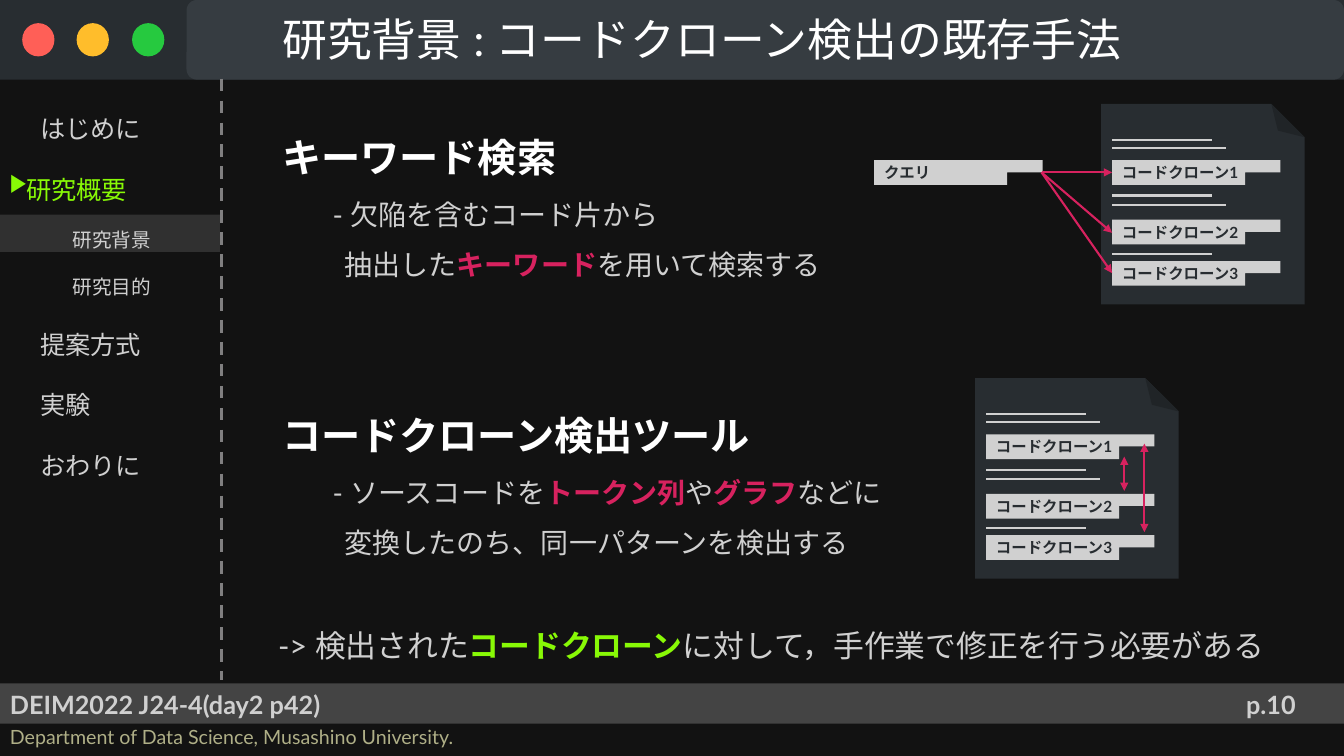
from lxml.etree import SubElement
from pptx import Presentation
from pptx.dml.color import RGBColor
from pptx.enum.dml import MSO_LINE
from pptx.enum.lang import MSO_LANGUAGE_ID
from pptx.enum.shapes import MSO_CONNECTOR, MSO_SHAPE
from pptx.enum.text import MSO_ANCHOR, MSO_AUTO_SIZE, PP_ALIGN
from pptx.oxml.ns import qn
from pptx.util import Inches, Pt

GREY, DARK, WHITE = "D0D0D0", "282D31", "FFFFFF"
PINK, GREEN = "D7225F", "88F906"
color = RGBColor.from_string


def paint(shape, fill):
    shape.shadow.inherit = False
    shape.fill.solid()
    shape.fill.fore_color.rgb = color(fill)
    shape.line.fill.background()


def write(para, text, size, tone=GREY, bold=False, indent=0, space=None, accent=PINK):
    """Fill a paragraph; parts between bars are bold and in the accent colour."""
    para.alignment = PP_ALIGN.LEFT
    para.line_spacing = space
    props = para._p.get_or_add_pPr()
    props.set("marL", str(Inches(indent)))
    props.set("indent", "0")
    for i, part in enumerate(text.split("|")):
        run = para.add_run()
        run.text = part
        font = run.font
        font.name, font.size = "Lato", Pt(size)
        font.bold = bold or i % 2 == 1
        font.color.rgb = color(accent if i % 2 else tone)
        font.language_id = MSO_LANGUAGE_ID.JAPANESE
        SubElement(run._r.get_or_add_rPr(), qn("a:ea"), typeface="Lato")


deck = Presentation()
deck.slide_width, deck.slide_height = Inches(13.33), Inches(7.5)
slide = deck.slides.add_slide(deck.slide_layouts[5])
slide.background.fill.solid()
slide.background.fill.fore_color.rgb = color("121212")
shapes = slide.shapes

# Window frame, footer bar and sidebar highlight
for kind, left, top, width, height, fill in [
    (MSO_SHAPE.RECTANGLE, 0, 6.78, 13.33, 0.4, "444444"),
    (MSO_SHAPE.RECTANGLE, 0, 0, 13.33, 0.79, DARK),
    (MSO_SHAPE.OVAL, 0.22, 0.23, 0.32, 0.33, "FF5F57"),
    (MSO_SHAPE.OVAL, 0.76, 0.23, 0.32, 0.33, "FFBD2B"),
    (MSO_SHAPE.OVAL, 1.31, 0.23, 0.32, 0.33, "26C93F"),
    (MSO_SHAPE.ROUNDED_RECTANGLE, 1.85, 0, 11.48, 0.79, "363C41"),
    (MSO_SHAPE.RECTANGLE, 0, 2.13, 2.18, 0.37, "303030"),
]:
    part = shapes.add_shape(kind, Inches(left), Inches(top), Inches(width), Inches(height))
    paint(part, fill)
    if kind == MSO_SHAPE.ROUNDED_RECTANGLE:
        part.adjustments[0] = 0.13

# Title, brought in front of the window frame
title = shapes.title
title.left, title.top = Inches(2.2), Inches(0.06)
title.width, title.height = Inches(11.13), Inches(0.64)
title.text_frame.auto_size = MSO_AUTO_SIZE.NONE
title.text_frame.vertical_anchor = MSO_ANCHOR.MIDDLE
write(title.text_frame.paragraphs[0], "研究背景 : コードクローン検出の既存手法",
      32, WHITE, indent=0.5)
shapes._spTree.append(title._element)

# Text boxes: place, then paragraphs as (text, size, colour, bold, indent, spacing)
menu = [
    ("はじめに", 18, GREY, False, 0.3, 2),
    ("研究概要", 18, GREEN, False, 0.16, 2),
    ("研究背景", 14, GREY, False, 0.62, 2),
    ("研究目的", 14, GREY, False, 0.62, 2),
    ("提案方式", 18, GREY, False, 0.3, 2),
    ("実験", 18, GREY, False, 0.3, 2),
    ("おわりに", 18, GREY, False, 0.3, 2),
]
search = [
    ("キーワード検索", 28, WHITE, True, 0.5, 1.5),
    ("- 欠陥を含むコード片から", 20, GREY, False, 1, 1.5),
    ("抽出した|キーワード|を用いて検索する", 20, GREY, False, 1.12, 1.5),
]
tools = [
    ("コードクローン検出ツール", 28, WHITE, True, 0.5, 1.5),
    ("- ソースコードを|トークン列|や|グラフ|などに", 20, GREY, False, 1, 1.5),
    ("変換したのち、同一パターンを検出する", 20, GREY, False, 1.12, 1.5),
]
result = ("-> 検出された|コードクローン|に対して，手作業で修正を行う必要がある",
          22, GREY, False, 0, 2.5, GREEN)
for left, top, width, height, rows in [
    (0, 6.79, 6.68, 0.4, [("DEIM2022 J24-4(day2 p42)", 18, GREY, True)]),
    (0, 7.14, 6.68, 0.34,
     [("Department of Data Science, Musashino University.", 14, "AFAF87")]),
    (0, 0.78, 2.2, 5.97, menu),
    (0, 1.6, 0.46, 0.4, [("▶︎", 18, GREEN)]),
    (2.2, 1.04, 11.13, 1.74, search),
    (2.2, 3.8, 11.13, 1.74, tools),
    (2.66, 5.62, 10.67, 0.85, [result]),
    (11.88, 6.79, 1.45, 0.4, [("p.10", 18, GREY, True)]),
]:
    box = shapes.add_textbox(Inches(left), Inches(top), Inches(width), Inches(height))
    frame = box.text_frame
    frame.word_wrap = True
    for i, row in enumerate(rows):
        write(frame.add_paragraph() if i else frame.paragraphs[0], *row)
frame.paragraphs[0].alignment = PP_ALIGN.CENTER  # page number

# Source files, collecting their code lines and clone bars
lines = [(2.2, 0.78, 2.2, 6.75, "807F80", 2.25, ())]
bars = [("クエリ", 8.67, 1.59)]
for left, top in [(10.92, 1.03), (9.67, 3.75)]:
    page = shapes.add_shape(MSO_SHAPE.FOLDED_CORNER, Inches(left), Inches(top),
                            Inches(2.02), Inches(1.99))
    paint(page, DARK)
    page.rotation = 180
    page._element.spPr.xfrm.set("flipH", "1")
    edge = left + 0.11
    for i, down in enumerate([0.56, 1.15, 1.56]):
        bars.append((f"コードクローン{i + 1}", edge, top + down))
    for i, down in enumerate([0.36, 0.44, 0.91, 1, 1.49]):
        end = edge + (1.13 if i % 2 else 0.99)
        lines.append((edge, top + down, end, top + down, GREY, 1.5, ()))

# Clone and query bars
for text, left, top in bars:
    right, notch = left + 1.67, left + 1.32
    middle, base = top + 0.12, top + 0.245
    pen = shapes.build_freeform(Inches(left), Inches(top))
    pen.add_line_segments([(Inches(x), Inches(y)) for x, y in [
        (right, top), (right, middle), (notch, middle), (notch, base), (left, base)]])
    bar = pen.convert_to_shape()
    paint(bar, GREY)
    bar.text_frame.vertical_anchor = MSO_ANCHOR.MIDDLE
    write(bar.text_frame.paragraphs[0], text, 11, DARK, True)

# Query arrows and clone pair arrows
for y in [1.71, 2.31, 2.71]:
    lines.append((10.33, 1.71, 11.03, y, PINK, 1.5, ("tailEnd",)))
for x, top, base in [(11.15, 4.53, 4.87), (11.35, 4.4, 5.28)]:
    lines.append((x, top, x, base, PINK, 1.5, ("headEnd", "tailEnd")))

# Draw every line
for x1, y1, x2, y2, tone, width, heads in lines:
    line = shapes.add_connector(MSO_CONNECTOR.STRAIGHT, Inches(x1), Inches(y1),
                                Inches(x2), Inches(y2))
    line.line.color.rgb = color(tone)
    line.line.width = Pt(width)
    if width > 2:
        line.line.dash_style = MSO_LINE.DASH
    for head in heads:
        SubElement(line.line._get_or_add_ln(), qn(f"a:{head}"), type="triangle")
    SubElement(line._element.spPr, qn("a:effectLst"))

deck.save("out.pptx")
